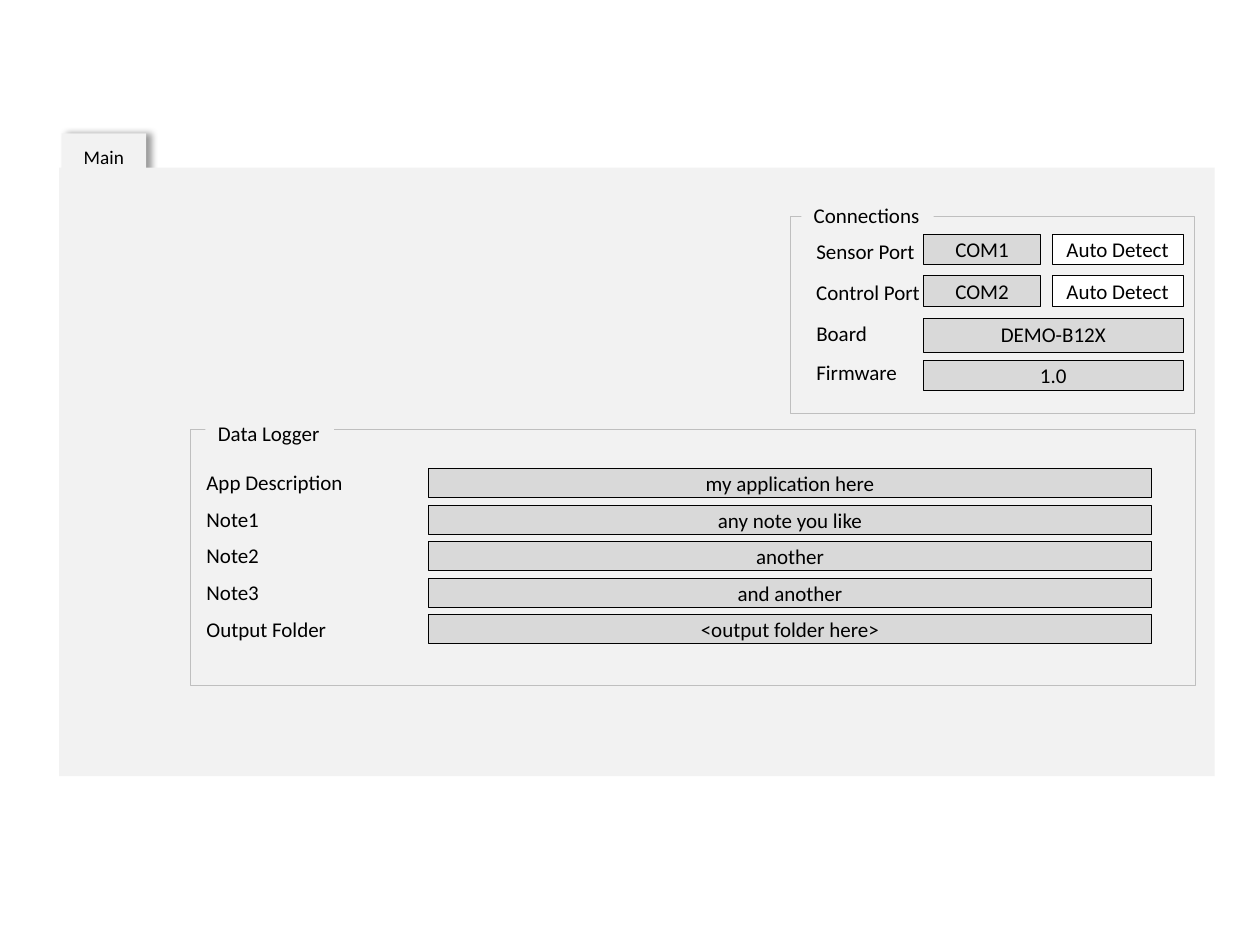
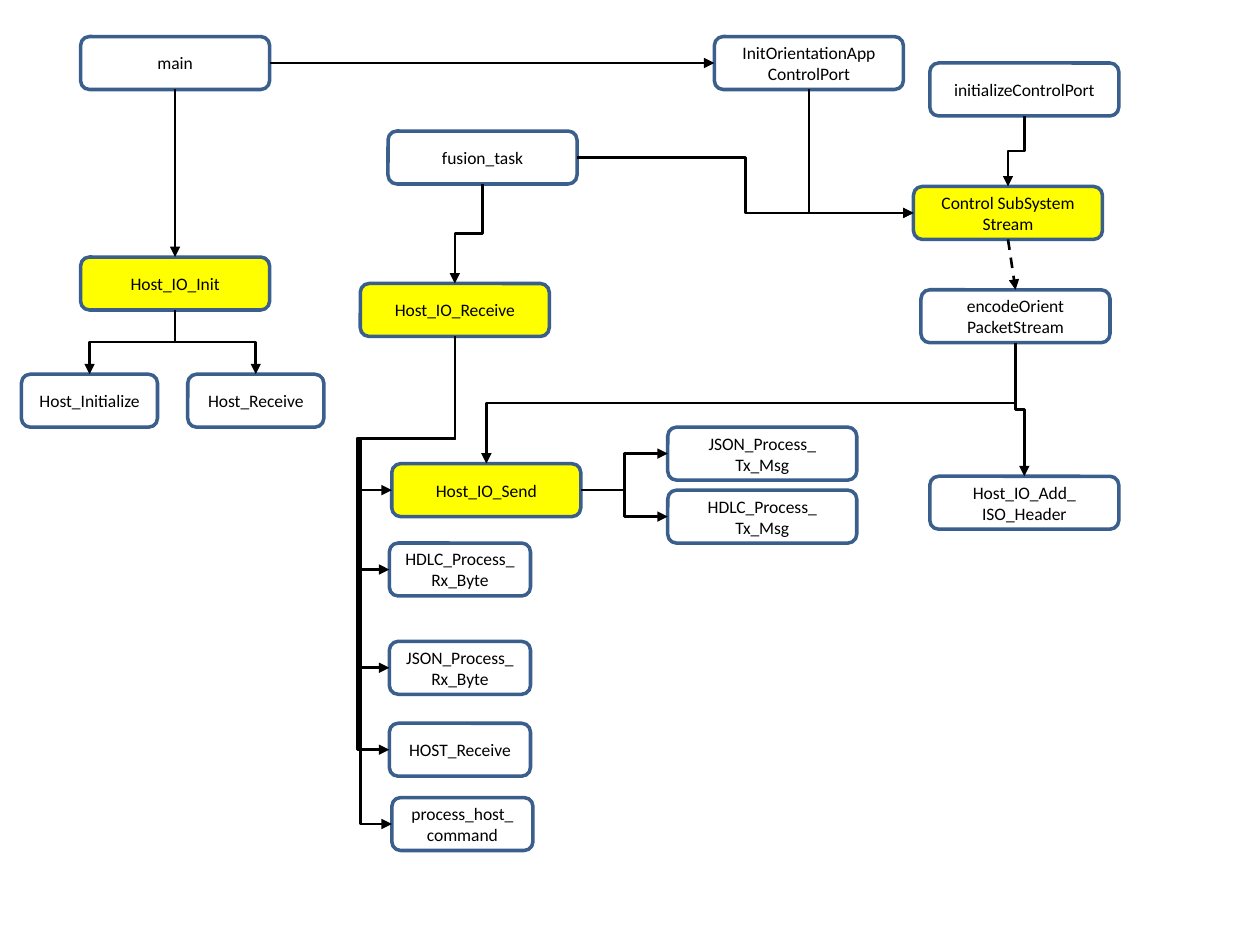
from lxml.etree import SubElement
from pptx import Presentation
from pptx.dml.color import RGBColor
from pptx.enum.dml import MSO_LINE
from pptx.enum.shapes import MSO_CONNECTOR, MSO_SHAPE
from pptx.enum.text import MSO_ANCHOR, MSO_AUTO_SIZE, PP_ALIGN
from pptx.oxml.ns import qn
from pptx.util import Inches, Pt

COLORS = {"panel": "F2F2F2", "field": "D9D9D9", "button": "FFFFFF", "frame": "BFBFBF",
          "ink": "000000", "outline": "3A5F8C", "highlight": "FFFF00"}
FONT = "Calibri"
TOP, LEFT, BOTTOM, RIGHT = range(4)  # connection sites of a rectangle


def color(name):
    return RGBColor.from_string(COLORS[name])


def site_point(shape, site):
    """Centre of one side of a shape."""
    middle_x, middle_y = shape.left + shape.width // 2, shape.top + shape.height // 2
    return {TOP: (middle_x, shape.top), LEFT: (shape.left, middle_y),
            BOTTOM: (middle_x, shape.top + shape.height),
            RIGHT: (shape.left + shape.width, middle_y)}[site]


class Deck:
    def __init__(self):
        self.presentation = Presentation()
        self.presentation.slide_width = Inches(10)
        self.presentation.slide_height = Inches(7.5)
        self.slide = None

    def new_slide(self):
        self.slide = self.presentation.slides.add_slide(self.presentation.slide_layouts[6])

    def box(self, bounds, fill=None, line=None, weight=0.5, kind=MSO_SHAPE.RECTANGLE):
        shape = self.slide.shapes.add_shape(kind, *map(Inches, bounds))
        shape.shadow.inherit = False
        if fill:
            shape.fill.solid()
            shape.fill.fore_color.rgb = color(fill)
        else:
            shape.fill.background()
        if line:
            shape.line.color.rgb = color(line)
            shape.line.width = Pt(weight)
        else:
            shape.line.fill.background()
        return shape

    def caption(self, shape, text, size=12, align=PP_ALIGN.CENTER, **frame_format):
        frame = shape.text_frame
        settings = {"word_wrap": True, "vertical_anchor": MSO_ANCHOR.MIDDLE, **frame_format}
        for name, value in settings.items():
            setattr(frame, name, value)
        paragraph = frame.paragraphs[0]
        paragraph.alignment = align
        run = paragraph.add_run()
        run.text = text
        for name, value in {"name": FONT, "size": Pt(size)}.items():
            setattr(run.font, name, value)
        run.font.color.rgb = color("ink")

    def label(self, text, left, top, width, wrap=False, anchor=MSO_ANCHOR.MIDDLE):
        self.caption(self.box((left, top, width, 0.3), "panel"), text, align=PP_ALIGN.LEFT,
                     word_wrap=wrap, vertical_anchor=anchor,
                     auto_size=MSO_AUTO_SIZE.SHAPE_TO_FIT_TEXT)

    def field(self, text, bounds, fill="field", anchor=MSO_ANCHOR.MIDDLE):
        self.caption(self.box(bounds, fill, "ink"), text, vertical_anchor=anchor)

    def tab(self, text, bounds):
        shape = self.box(bounds, "panel")
        self.caption(shape, text, 11, vertical_anchor=MSO_ANCHOR.BOTTOM)
        effects = shape.element.spPr.find(qn("a:effectLst"))
        shadow = SubElement(effects, qn("a:outerShdw"), blurRad=str(Pt(4)), dist=str(Pt(3)),
                            dir="0", algn="l", rotWithShape="0")
        tint = SubElement(shadow, qn("a:srgbClr"), val=COLORS["ink"])
        SubElement(tint, qn("a:alpha"), val="40000")

    def node(self, text, left, top, width=1.5, fill=None):
        shape = self.box((left, top, width, 0.42), fill, "outline", 2,
                         MSO_SHAPE.ROUNDED_RECTANGLE)
        self.caption(shape, text, 10)
        return shape

    def arrow(self, source, source_site, target, target_site, bent=True, dash=None, lane=None):
        """Join two nodes; lane is the (y, x) that a four-part route passes through."""
        kind = MSO_CONNECTOR.ELBOW if bent else MSO_CONNECTOR.STRAIGHT
        connector = self.slide.shapes.add_connector(kind, 0, 0, 0, 0)
        connector.begin_connect(source, source_site)
        connector.end_connect(target, target_site)
        connector.line.color.rgb = color("ink")
        connector.line.width = Pt(1.5)
        if dash:
            connector.line.dash_style = dash
        properties = connector.element.spPr
        SubElement(properties.find(qn("a:ln")), qn("a:tailEnd"), type="triangle")
        SubElement(properties, qn("a:effectLst"))
        if bent and source_site == BOTTOM:
            self.route_down(connector, site_point(source, source_site),
                            site_point(target, target_site), target_site, lane)

    def route_down(self, connector, start, end, target_site, lane):
        """Turn an elbow so that it leaves its source downwards."""
        across, down = end[0] - start[0], end[1] - start[1]
        connector.width, connector.height = down, abs(across)
        connector.left = (start[0] + end[0] - down) // 2
        connector.top = (start[1] + end[1] - abs(across)) // 2
        transform = connector.element.spPr.find(qn("a:xfrm"))
        for flip in ("flipH", "flipV"):
            transform.attrib.pop(flip, None)
        transform.set("rot", str((90 if across < 0 else 270) * 60000))
        if across >= 0:
            transform.set("flipH", "1")
        geometry = connector.element.spPr.find(qn("a:prstGeom"))
        if lane:
            geometry.set("prst", "bentConnector4")
            guides = geometry.find(qn("a:avLst"))
            if guides is None:
                guides = SubElement(geometry, qn("a:avLst"))
            shares = ((Inches(lane[0]) - start[1]) / down, (Inches(lane[1]) - start[0]) / across)
            for number, share in enumerate(shares, 1):
                SubElement(guides, qn("a:gd"), name=f"adj{number}",
                           fmla=f"val {round(share * 100000)}")
        elif target_site == LEFT:
            geometry.set("prst", "bentConnector2")


def build_main_window(deck):
    deck.new_slide()
    deck.tab("Main", (0.49, 1.06, 0.67, 0.33))
    deck.box((0.47, 1.33, 9.17, 4.83), "panel")

    # Connections group
    deck.box((6.27, 1.72, 3.21, 1.56), line="frame")
    deck.label("Connections", 6.36, 1.56, 1.05, anchor=MSO_ANCHOR.BOTTOM)
    ports = [("Sensor Port", "COM1", 1.84, 0.99), ("Control Port", "COM2", 2.17, 1.03)]
    for name, port, top, width in ports:
        deck.label(name, 6.38, top, width)
        deck.field(port, (7.33, top + 0.02, 0.93, 0.24))
        deck.field("Auto Detect", (8.35, top + 0.02, 1.04, 0.24), "button")
    deck.label("Board", 6.38, 2.49, 0.61, anchor=MSO_ANCHOR.BOTTOM)
    deck.field("DEMO-B12X", (7.33, 2.53, 2.06, 0.27), anchor=MSO_ANCHOR.BOTTOM)
    deck.label("Firmware", 6.38, 2.8, 0.85, anchor=MSO_ANCHOR.BOTTOM)
    deck.field("1.0", (7.33, 2.86, 2.06, 0.24))

    # Data Logger group
    entries = [("App Description", "my application here"), ("Note1", "any note you like"),
               ("Note2", "another"), ("Note3", "and another"),
               ("Output Folder", "<output folder here>")]
    for row, (name, value) in enumerate(entries):
        offset = 0.29 * row
        deck.label(name, 1.54, 3.68 + offset, 1.44, wrap=True)
        deck.field(value, (3.4, 3.72 + offset, 5.74, 0.23))
    deck.box((1.51, 3.41, 7.98, 2.03), line="frame")
    deck.label("Data Logger", 1.63, 3.29, 1.02, anchor=MSO_ANCHOR.BOTTOM)


def build_call_graph(deck):
    deck.new_slide()

    # Entry points
    main_node = deck.node("main", 0.64, 0.29)
    fusion_task = deck.node("fusion_task", 3.08, 1.04)
    init_app = deck.node("InitOrientationApp ControlPort", 5.67, 0.29)
    init_port = deck.node("initializeControlPort", 7.38, 0.5)

    # Subsystems
    host_init = deck.node("Host_IO_Init", 0.64, 2.04, fill="highlight")
    host_receive = deck.node("Host_IO_Receive", 2.86, 2.25, fill="highlight")
    host_send = deck.node("Host_IO_Send", 3.11, 3.68, fill="highlight")
    control_stream = deck.node("Control SubSystem Stream", 7.25, 1.48, fill="highlight")

    # Called functions
    encode_packet = deck.node("encodeOrient PacketStream", 7.31, 2.3)
    add_header = deck.node("Host_IO_Add_ ISO_Header", 7.38, 3.78)
    init_steps = [deck.node("Host_Initialize", 0.17, 2.97, 1.08),
                  deck.node("Host_Receive", 1.49, 2.97, 1.08)]
    senders = [deck.node("HDLC_Process_ Tx_Msg", 5.3, 3.89),
               deck.node("JSON_Process_ Tx_Msg", 5.3, 3.39)]
    receivers = [deck.node(text, left, top, 1.12) for text, left, top in (
        ("HDLC_Process_ Rx_Byte", 3.09, 4.31), ("JSON_Process_ Rx_Byte", 3.09, 5.09),
        ("HOST_Receive", 3.09, 5.74), ("process_host_ command", 3.11, 6.33))]

    # Calls
    deck.arrow(main_node, RIGHT, init_app, LEFT, bent=False)
    deck.arrow(main_node, BOTTOM, host_init, TOP, bent=False)
    deck.arrow(control_stream, BOTTOM, encode_packet, TOP, bent=False, dash=MSO_LINE.DASH)
    deck.arrow(fusion_task, RIGHT, control_stream, LEFT)
    deck.arrow(init_app, BOTTOM, control_stream, LEFT)
    downward_calls = [(fusion_task, host_receive), (init_port, control_stream),
                      (encode_packet, host_send), (encode_packet, add_header)]
    downward_calls += [(host_init, step) for step in init_steps]
    for caller, called in downward_calls:
        deck.arrow(caller, BOTTOM, called, TOP)
    for sender in senders:
        deck.arrow(host_send, RIGHT, sender, LEFT)
    for called in [host_send, *receivers]:
        deck.arrow(host_receive, BOTTOM, called, LEFT, lane=(3.48, called.left.inches - 0.25))


def main():
    deck = Deck()
    build_main_window(deck)
    build_call_graph(deck)
    deck.presentation.save("out.pptx")


if __name__ == "__main__":
    main()
